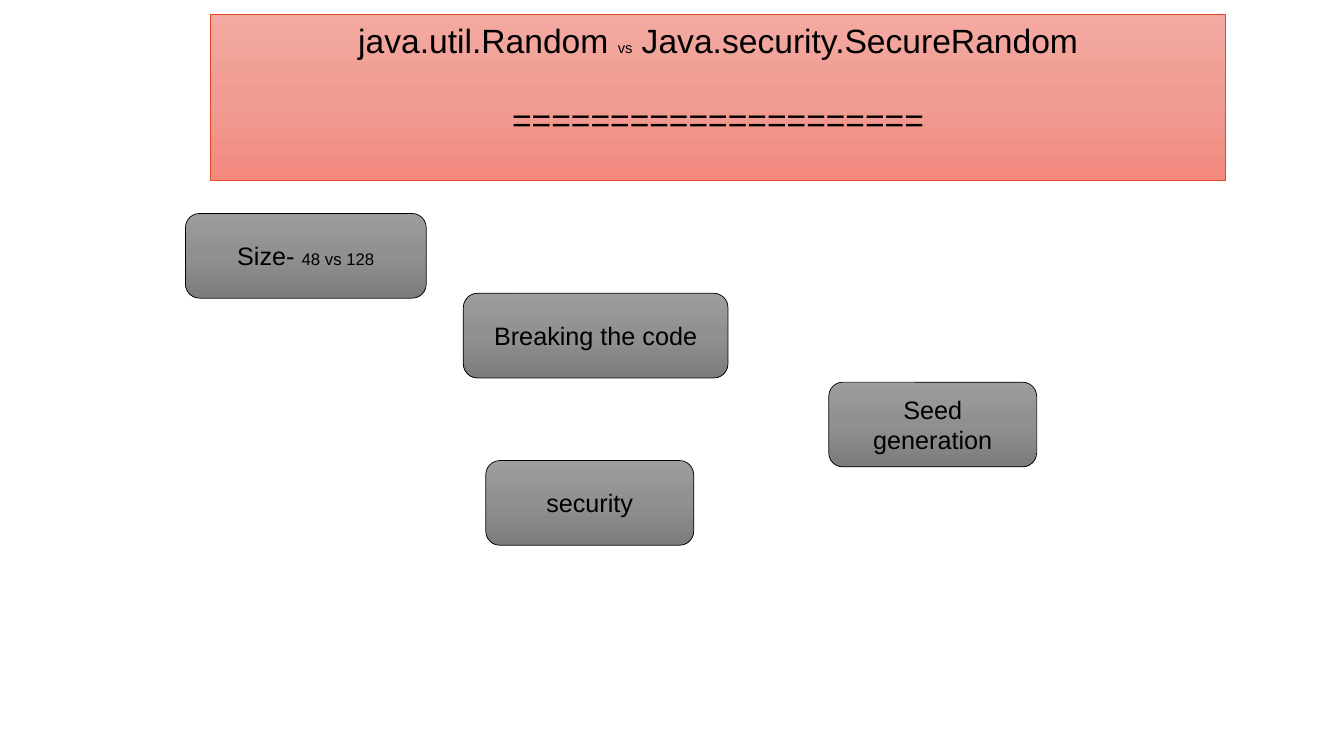
import copy

import pptx
import pptx.dml.color
import pptx.enum.shapes
import pptx.enum.text
import pptx.util

Pt = pptx.util.Pt


def color(hex_value):
    return pptx.dml.color.RGBColor.from_string(hex_value)


def style_box(shape, gradient_colors, line_color, paragraphs):
    """Give a shape a vertical gradient, a thin line and centred text runs."""
    shape.fill.gradient()
    shape.fill.gradient_angle = 270
    stop_list = shape.element.xpath(".//a:gsLst")[0]
    stop_list.insert(1, copy.deepcopy(stop_list[0]))
    for index, stop in enumerate(shape.fill.gradient_stops):
        stop.position = index / 2
        stop.color.rgb = color(gradient_colors[index])
    shape.line.color.rgb = color(line_color)
    shape.line.width = Pt(0.5)
    shape.shadow.inherit = False

    text_frame = shape.text_frame
    text_frame.auto_size = pptx.enum.text.MSO_AUTO_SIZE.NONE
    text_frame.word_wrap = True
    text_frame.vertical_anchor = pptx.enum.text.MSO_ANCHOR.MIDDLE
    text_frame.text = "\n".join([""] * len(paragraphs))
    for paragraph, runs in zip(text_frame.paragraphs, paragraphs):
        paragraph.alignment = pptx.enum.text.PP_ALIGN.CENTER
        for text, size in runs:
            run = paragraph.add_run()
            run.text = text
            run.font.name = "Arial"
            run.font.size = Pt(size)
            run.font.color.rgb = color("000000")


presentation = pptx.Presentation()
presentation.slide_width = Pt(960)
presentation.slide_height = Pt(540)
slide = presentation.slides.add_slide(presentation.slide_layouts.get_by_name("Title Only"))

# Title banner
title = slide.shapes.title
title.left, title.top, title.width, title.height = Pt(150.5), Pt(10), Pt(725), Pt(119)
style_box(title, ["F3A9A1", "F09C93", "F3897F"], "E64823", [
    [("java.util.Random ", 24), ("vs", 10.5), (" Java.security.SecureRandom", 24)],
    [("=" * 21, 24)],
])
title.text_frame.vertical_anchor = pptx.enum.text.MSO_ANCHOR.TOP
title.text_frame.margin_top = Pt(4)
title.text_frame.paragraphs[0].space_before = Pt(0)
title.text_frame.paragraphs[1].space_before = Pt(28)

# Comparison topics: left, top, width, runs
topics = [
    (132.5, 152.5, 172, [("Size- ", 18), ("48 vs 128", 12)]),
    (331, 209.5, 189, [("Breaking the code", 18)]),
    (347, 329, 148.5, [("security", 18)]),
    (592, 273, 148.5, [("Seed generation", 18)]),
]
for left, top, width, runs in topics:
    topic = slide.shapes.add_shape(
        pptx.enum.shapes.MSO_SHAPE.ROUNDED_RECTANGLE, Pt(left), Pt(top), Pt(width), Pt(60.5))
    style_box(topic, ["9D9D9D", "909090", "7C7C7C"], "000000", [runs])

presentation.save("out.pptx")
